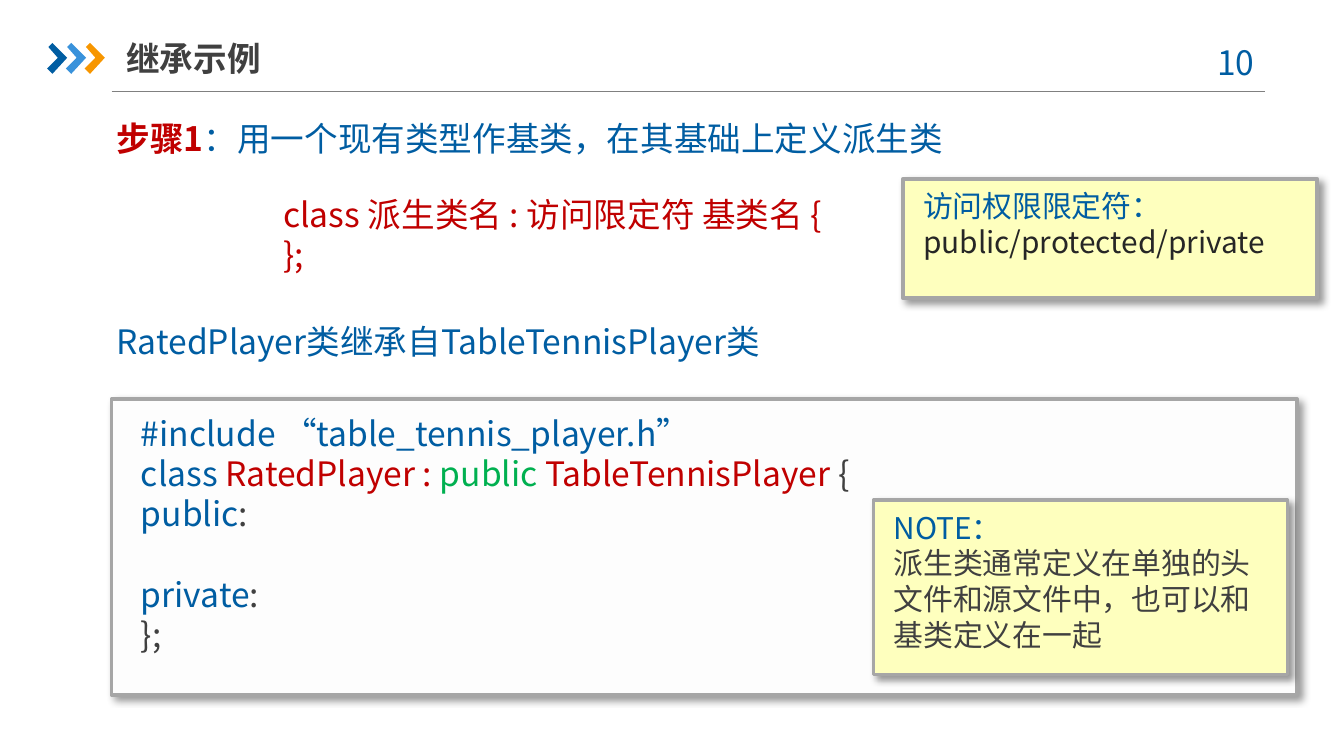
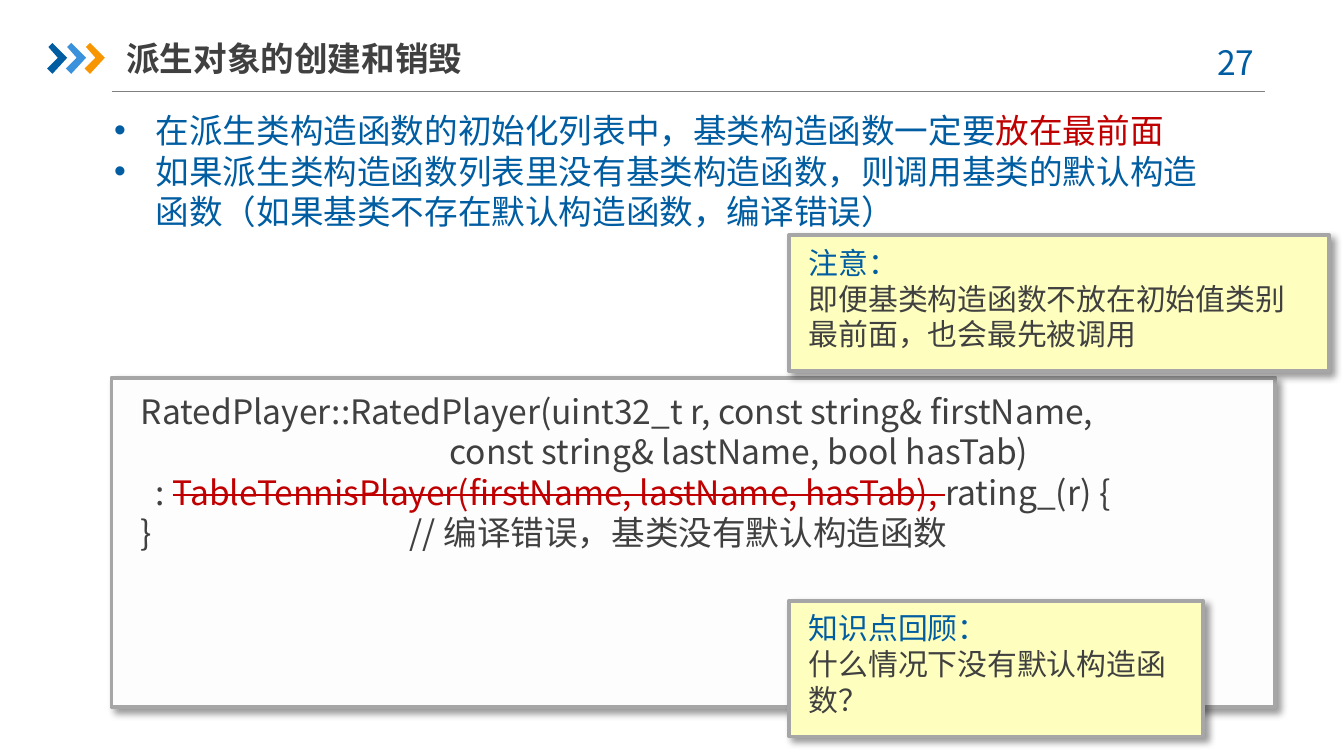
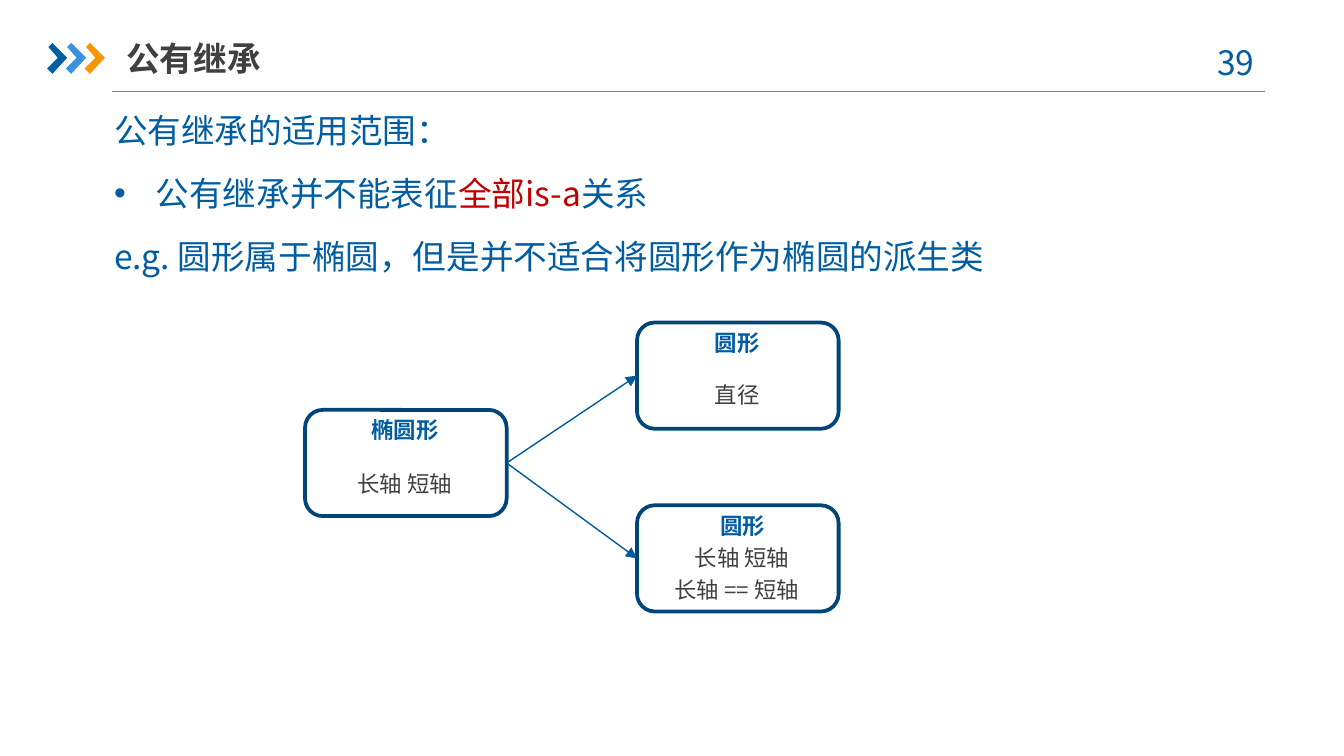
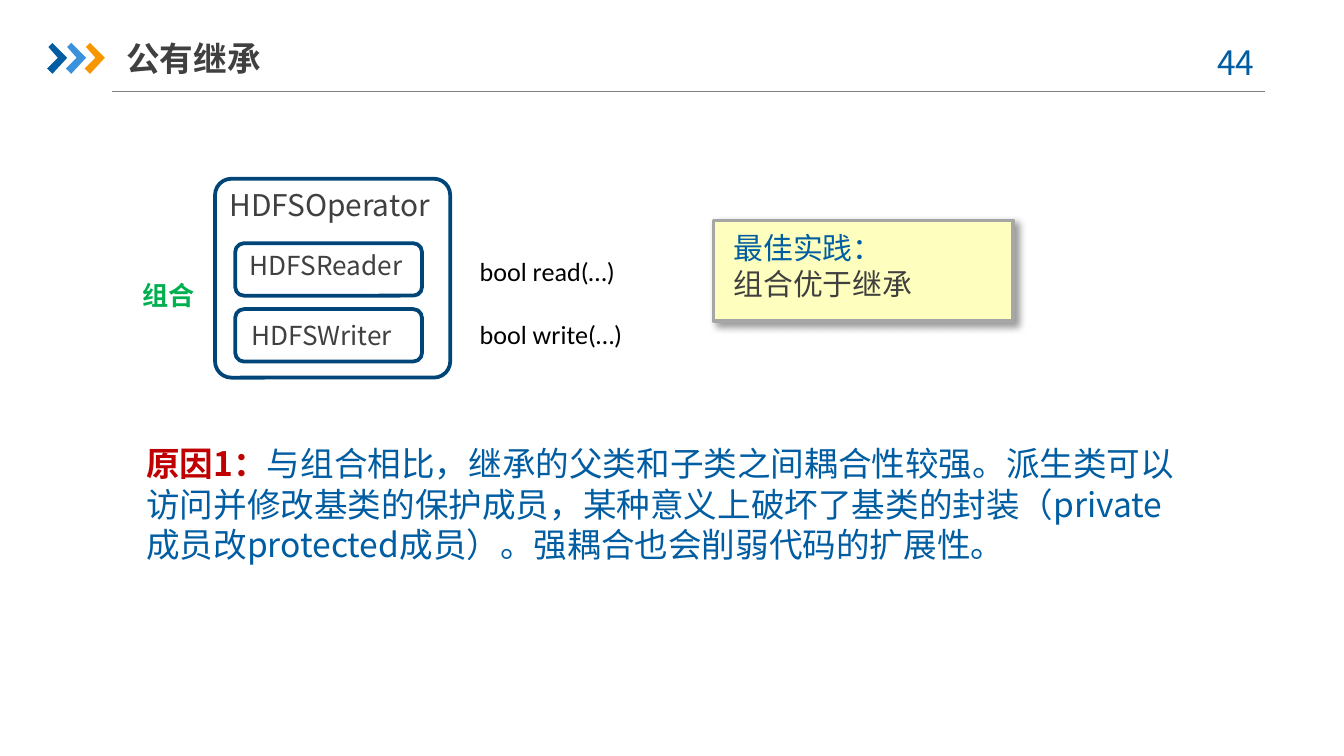
from dataclasses import dataclass

from lxml import etree
from pptx import Presentation
from pptx.dml.color import RGBColor
from pptx.enum.shapes import MSO_CONNECTOR as Connector
from pptx.enum.shapes import MSO_SHAPE as Shape
from pptx.enum.text import MSO_ANCHOR as Anchor
from pptx.enum.text import MSO_AUTO_SIZE as AutoSize
from pptx.enum.text import PP_ALIGN as Align
from pptx.oxml.ns import qn
from pptx.util import Inches, Pt

COLORS = {
    "blue": "005DA2", "sky": "3992DB", "orange": "F79600", "arrow": "005B9E",
    "outline": "004578", "red": "C00000", "green": "00B050", "black": "000000",
    "ink": "262626", "text": "404040", "rule": "808080", "edge": "A6A6A6",
    "note": "FEFFBE", "code": "FDFDFD",
}
FONT = "Noto Sans CJK SC"
TITLE_ONLY = 5

# Span formats that recur inside coloured text
BLUE = {"color": "blue"}
RED = {"color": "red"}
GREEN = {"color": "green"}
LEAD = {"color": "red", "bold": True}


@dataclass
class Para:
    """A paragraph: spans are strings or (string, format) pairs."""
    spans: list
    before: float = 0
    after: float = 0
    bullet: bool = False
    tab: float = 0
    align: Align = Align.LEFT


def rgb(name):
    return RGBColor.from_string(COLORS[name])


def inches(*values):
    return [Inches(value) for value in values]


def add_xml(parent, tag, **attributes):
    values = {key: str(value) for key, value in attributes.items()}
    return etree.SubElement(parent, qn(tag), values)


# ---- Text ----
def add_span(para, text, size=18, color="blue", font=FONT, bold=False, strike=False):
    span = para.add_run()
    span.text = text
    span.font.size = Pt(size)
    span.font.bold = bold
    span.font.name = font
    span.font.color.rgb = rgb(color)
    properties = span.font._element
    add_xml(properties, "a:ea", typeface=font)
    if strike:
        properties.set("strike", "sngStrike")


def fill_text(box, paras, **style):
    frame = box.text_frame
    for index, item in enumerate(paras):
        item = item if isinstance(item, Para) else Para([item])
        para = frame.add_paragraph() if index else frame.paragraphs[0]
        properties = para._p.get_or_add_pPr()
        if item.bullet:
            properties.set("marL", str(Inches(0.31)))
            properties.set("indent", str(-Inches(0.31)))
            add_xml(properties, "a:buFont", typeface="Arial")
            add_xml(properties, "a:buChar", char="•")
        if item.tab:
            tabs = add_xml(properties, "a:tabLst")
            add_xml(tabs, "a:tab", pos=Inches(item.tab), algn="l")
        para.alignment = item.align
        if item.before:
            para.space_before = Pt(item.before)
        if item.after:
            para.space_after = Pt(item.after)
        for span in item.spans:
            text, extra = (span, {}) if isinstance(span, str) else span
            if text == "\n":
                para.add_line_break()
            else:
                add_span(para, text, **{**style, **extra})


def add_text(page, left, top, width, height, paras, wrap=True, **style):
    box = page.shapes.add_textbox(*inches(left, top, width, height))
    box.text_frame.word_wrap = wrap
    box.text_frame.auto_size = AutoSize.SHAPE_TO_FIT_TEXT
    fill_text(box, paras, **style)
    return box


# ---- Shapes ----
def add_box(shapes, left, top, width, height, kind=Shape.RECTANGLE, fill=None, line=None):
    box = shapes.add_shape(kind, *inches(left, top, width, height))
    box.shadow.inherit = False
    if fill:
        box.fill.solid()
        box.fill.fore_color.rgb = rgb(fill)
    else:
        box.fill.background()
    if line:
        box.line.color.rgb = rgb(line)
        box.line.width = Pt(2)
    else:
        box.line.fill.background()
    return box


def add_rounded(page, left, top, width, height):
    return add_box(page.shapes, left, top, width, height,
                   Shape.ROUNDED_RECTANGLE, line="outline")


def add_line(page, start, end, color):
    line = page.shapes.add_connector(Connector.STRAIGHT, *inches(*start, *end))
    line.line.color.rgb = rgb(color)
    line.line.width = Pt(0.75)
    add_xml(line._element.spPr, "a:effectLst")
    return line


def add_arrow(page, source, target):
    arrow = add_line(page, (0, 0), (1, 1), "arrow")
    arrow.begin_connect(source, 3)
    arrow.end_connect(target, 1)
    add_xml(arrow.line._get_or_add_ln(), "a:tailEnd", type="triangle")


def add_card(page, left, top, width, height, fill, margin, text_height, paras, **style):
    """A shadowed frame with its text area, grouped."""
    group = page.shapes.add_group_shape()
    frame = add_box(group.shapes, left, top, width, height, fill=fill, line="edge")
    effects = frame._element.spPr.find(qn("a:effectLst"))
    shadow = add_xml(effects, "a:outerShdw", blurRad=Pt(4), dist=Pt(3),
                     dir=45 * 60000, algn="tl", rotWithShape=0)
    color = add_xml(shadow, "a:srgbClr", val=COLORS["black"])
    add_xml(color, "a:alpha", val=40000)
    side, upper = margin
    area = add_box(group.shapes, left + side, top + upper, width - 2 * side,
                   text_height, fill=fill)
    area.text_frame.word_wrap = True
    area.text_frame.vertical_anchor = Anchor.TOP
    fill_text(area, paras, **style)


def add_note(page, left, top, width, height, heading, body, lines, color="text"):
    para = Para([heading, "\n", (body, {"color": color})], after=6)
    add_card(page, left, top, width, height, "note", (0.05, 0.02),
             0.1 + 0.27 * lines, [para], size=16)


def add_code(page, top, width, height, paras, lines):
    add_card(page, 0.83, top, width, height, "code", (0.12, 0.05),
             0.1 + 0.3 * lines, paras, color="text")


def add_node(page, left, top, name, details, gap, shift=0):
    """A rounded class box with a bold name over evenly spaced details."""
    node = add_rounded(page, left, top, 1.5, 0.79)
    middle = left + 0.75 + shift
    widths = {"圆形": 0.54, "直径": 0.54, "椭圆形": 0.71,
              "长轴 短轴": 0.92, "长轴 == 短轴": 1.22}
    for row, label in enumerate([name, *details]):
        width = widths[label]
        add_text(page, middle - width / 2, top + row * gap, width, 0.3, [label],
                 wrap=False, size=12, bold=row == 0, color="text" if row else "blue")
    return node


# ---- Shared header ----
def add_chevron(page, left, color):
    outline = [(0.01, 0.35), (0.04, 0.32), (0.15, 0.43), (0.04, 0.55), (0, 0.51), (0.08, 0.43)]
    points = [inches(left + x, y) for x, y in outline]
    builder = page.shapes.build_freeform(*points[0], scale=1.0)
    builder.add_line_segments(points[1:], close=True)
    chevron = builder.convert_to_shape()
    chevron.shadow.inherit = False
    chevron.fill.solid()
    chevron.fill.fore_color.rgb = rgb(color)
    chevron.line.fill.background()


def add_page(deck, title, number):
    page = deck.slides.add_slide(deck.slide_layouts[TITLE_ONLY])
    add_line(page, (0.83, 0.68), (9.41, 0.68), "rule")
    for index, color in enumerate(["blue", "sky", "orange"]):
        add_chevron(page, 0.35 + 0.14 * index, color)
    add_text(page, 8.86, 0.26, 0.73, 0.4, [Para([f"{number} "], align=Align.CENTER)])

    box = page.shapes.title
    box.left, box.top, box.width, box.height = inches(0.94, 0.22, 2.64, 0.42)
    frame = box.text_frame
    frame.auto_size = AutoSize.NONE
    frame.word_wrap = True
    frame.vertical_anchor = Anchor.MIDDLE
    frame.margin_left = frame.margin_right = 0
    frame.margin_top = frame.margin_bottom = Inches(0.05)
    fill_text(box, [title], color="text", bold=True)
    return page


# ---- Slides ----
def inheritance_example(deck):
    page = add_page(deck, "继承示例", 10)
    add_code(page, 2.97, 8.82, 2.2, [
        Para([("#include “table_tennis_player.h”", BLUE)]),
        Para([("class ", BLUE), ("RatedPlayer : ", RED), ("public ", GREEN),
              ("TableTennisPlayer ", RED), "{"]),
        Para([("public", BLUE), ":"]),
        Para([("private", BLUE), ":"], before=21.7),
        "};",
    ], lines=6)
    add_text(page, 0.77, 2.34, 5, 0.4, ["RatedPlayer类继承自TableTennisPlayer类"])
    add_text(page, 0.77, 0.83, 6.44, 0.4, [
        Para([("步骤1", LEAD), "：用一个现有类型作基类，在其基础上定义派生类"])])
    add_text(page, 2.01, 1.39, 5, 0.71,
             ["class 派生类名 : 访问限定符 基类名 {", "};"], color="red")
    add_note(page, 6.72, 1.33, 3.08, 0.89, "访问权限限定符：",
             "public/protected/private", lines=2, color="ink")
    add_note(page, 6.5, 3.72, 3.08, 1.3, "NOTE：",
             "派生类通常定义在单独的头文件和源文件中，也可以和基类定义在一起", lines=4)


def object_lifetime(deck):
    page = add_page(deck, "派生对象的创建和销毁", 27)
    add_text(page, 0.75, 0.77, 8.35, 1.01, [
        Para(["在派生类构造函数的初始化列表中，基类构造函数一定要", ("放在最前面", RED)],
             bullet=True),
        Para(["如果派生类构造函数列表里没有基类构造函数，则调用基类的默认构造函数"
              "（如果基类不存在默认构造函数，编译错误）"], bullet=True),
    ])
    add_code(page, 2.81, 8.66, 2.45, [
        "RatedPlayer::RatedPlayer(uint32_t r, const string& firstName,",
        " " * 41 + "const string& lastName, bool hasTab)",
        Para(["  : ", ("TableTennisPlayer(firstName, lastName, hasTab), ",
                       {"color": "red", "strike": True}), "rating_(r) {"]),
        Para(["}\t// 编译错误，基类没有默认构造函数"], tab=2),
    ], lines=4)
    add_note(page, 5.87, 4.47, 3.08, 1.01, "知识点回顾：",
             "什么情况下没有默认构造函数？", lines=3)
    add_note(page, 5.87, 1.75, 4.02, 1.01, "注意：",
             "即便基类构造函数不放在初始值类别最前面，也会最先被调用", lines=3)


def public_inheritance_scope(deck):
    page = add_page(deck, "公有继承", 39)
    add_text(page, 0.75, 0.77, 8.58, 1.35, [
        Para(["公有继承的适用范围："], after=12),
        Para(["公有继承并不能表征", ("全部is-a", RED), "关系"], after=12, bullet=True),
        Para(["e.g. 圆形属于椭圆，但是并不适合将圆形作为椭圆的派生类"], after=12),
    ])
    circle = add_node(page, 4.74, 2.4, "圆形", ["直径"], gap=0.39)
    ellipse = add_node(page, 2.27, 3.05, "椭圆形", ["长轴 短轴"], gap=0.4)
    equal_axes = add_node(page, 4.74, 3.76, "圆形", ["长轴 短轴", "长轴 == 短轴"],
                          gap=0.24, shift=0.04)
    for target in (circle, equal_axes):
        add_arrow(page, ellipse, target)


def composition(deck):
    page = add_page(deck, "公有继承", 44)
    add_note(page, 5.31, 1.64, 2.23, 0.75, "最佳实践：", "组合优于继承", lines=2)

    # Operator class holding a reader and a writer
    operator = add_rounded(page, 1.6, 1.33, 1.75, 1.48)
    operator.adjustments[0] = 0.082
    add_text(page, 1.61, 1.34, 1.77, 0.37, ["HDFSOperator"], wrap=False, size=16, color="text")
    members = [("HDFSReader", 1.81, 1.76, 1.81, 1.38, "bool read(…)", 1.85),
               ("HDFSWriter", 2.3, 1.77, 2.33, 1.31, "bool write(…)", 2.32)]
    for name, top, name_left, name_top, name_width, method, method_top in members:
        add_rounded(page, 1.75, top, 1.39, 0.39)
        add_text(page, name_left, name_top, name_width, 0.34, [name],
                 wrap=False, size=14, color="text")
        add_text(page, 3.47, method_top, 1.34, 0.34, [method],
                 size=14, color="black", font="Calibri")
    add_text(page, 0.96, 2.03, 0.8, 0.34, ["组合"], size=14, color="green", bold=True)

    add_text(page, 0.99, 3.25, 7.87, 1.01, [Para([
        ("原因1：", LEAD),
        "与组合相比，继承的父类和子类之间耦合性较强。派生类可以访问并修改基类的保护成员，"
        "某种意义上破坏了基类的封装（private成员改protected成员）。"
        "强耦合也会削弱代码的扩展性。"])])


def main():
    deck = Presentation()
    deck.slide_width = Inches(10)
    deck.slide_height = deck.slide_width * 9 // 16
    inheritance_example(deck)
    object_lifetime(deck)
    public_inheritance_scope(deck)
    composition(deck)
    deck.save("out.pptx")


if __name__ == "__main__":
    main()
